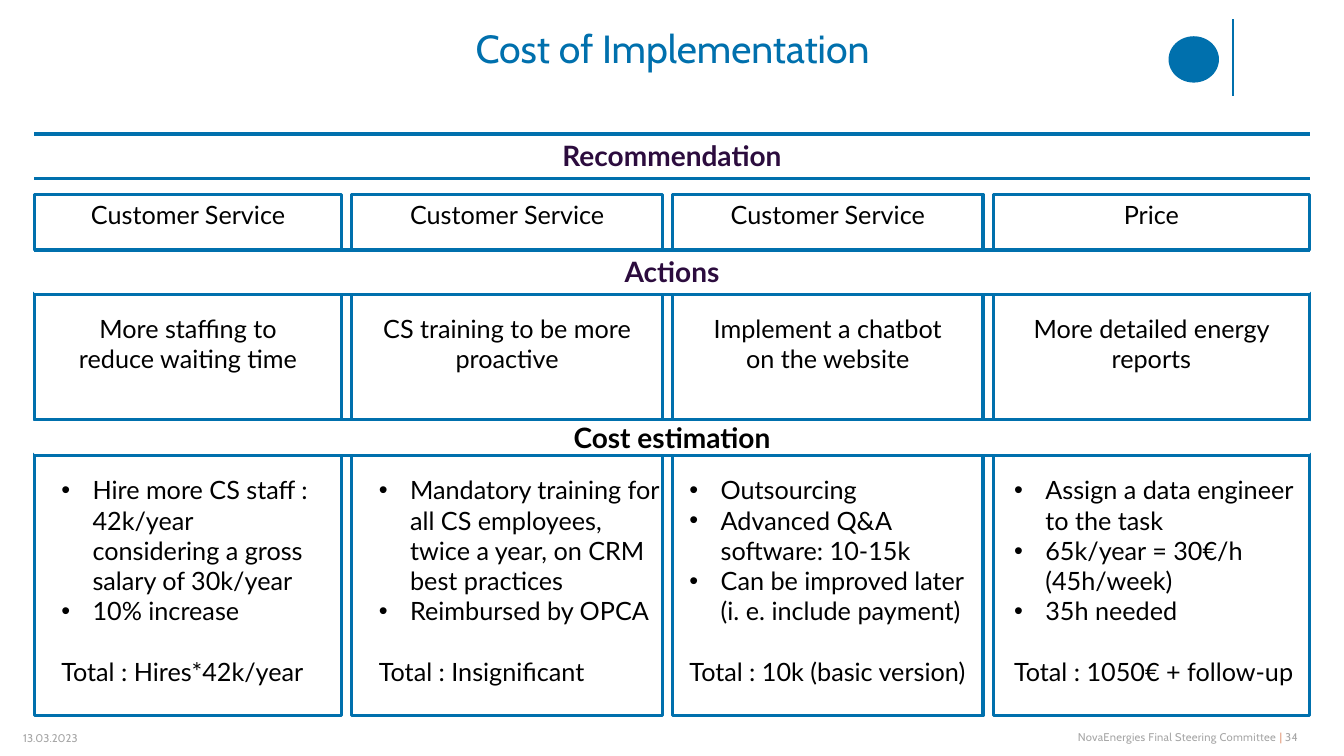
from itertools import accumulate

from lxml.etree import SubElement
from pptx import Presentation
from pptx.dml.color import RGBColor
from pptx.enum.shapes import MSO_CONNECTOR, MSO_SHAPE
from pptx.enum.text import MSO_ANCHOR, PP_ALIGN
from pptx.oxml.ns import qn
from pptx.util import Inches, Pt

BLUE = RGBColor(0x00, 0x70, 0xAD)
PLUM = RGBColor(0x2C, 0x0C, 0x3E)
BLACK = RGBColor(0x00, 0x00, 0x00)
WHITE = RGBColor(0xFF, 0xFF, 0xFF)
GREY = RGBColor(0xA6, 0xA6, 0xA6)
SAND = RGBColor(0xE2, 0x96, 0x74)

# Grid in inches: four columns with equal gaps, and the row edges
LEFT, GAP = 0.34, 0.1
WIDTHS = [3.05, 3.08, 3.08, 3.14]
EDGES = list(accumulate([w + GAP for w in WIDTHS], initial=LEFT))
RIGHT = EDGES[-1] - GAP
TOP, FOOT = 1.93, 7.1
ACTION_ROW, COST_ROW = 3.06, 4.66
ACTION_W = 2.74

# Heading, top, height, colour
BANDS = [
    ("Cost estimation", 4.18, 0.31, BLACK),
    ("Actions", 2.5, 0.39, PLUM),
    ("Recommendation", 1.35, 0.39, PLUM),
]

# Topic, action, bullets, total, indent and width of the cost text
PLANS = [
    ("Customer Service", "More staffing to reduce waiting time",
     ["Hire more CS staff : 42k/year considering a gross salary of 30k/year",
      "10% increase"],
     "Total : Hires*42k/year", 0.17, 2.74),
    ("Customer Service", "CS training to be more proactive",
     ["Mandatory training for all CS employees, twice a year, on CRM best practices",
      "Reimbursed by OPCA"],
     "Total : Insignificant", 0.17, 3.0),
    ("Customer Service", "Implement a chatbot on the website",
     ["Outsourcing", "Advanced Q&A software: 10-15k",
      "Can be improved later (i. e. include payment)"],
     "Total : 10k (basic version)", 0.07, 3.14),
    ("Price", "More detailed energy reports",
     ["Assign a data engineer to the task", "65k/year = 30€/h (45h/week)",
      "35h needed"],
     "Total : 1050€ + follow-up", 0.11, 3.03),
]


def style(font, size, color, name="Lato", bold=False):
    font.size, font.name, font.bold = Pt(size), name, bold
    font.color.rgb = color


def add_text(slide, x, y, w, h, text, size=18, color=BLACK, name="Lato",
             align=PP_ALIGN.LEFT, inset=True):
    box = slide.shapes.add_textbox(Inches(x), Inches(y), Inches(w), Inches(h))
    frame = box.text_frame
    frame.word_wrap = True
    if not inset:
        frame.margin_left = frame.margin_right = 0
        frame.margin_top = frame.margin_bottom = 0
    frame.text = text
    for para in frame.paragraphs:
        para.alignment = align
        for run in para.runs:
            style(run.font, size, color, name)
    return frame


def add_rect(slide, x, y, w, h, text, size, color, fill=None, line=BLUE,
             anchor=MSO_ANCHOR.TOP, bold=False):
    rect = slide.shapes.add_shape(MSO_SHAPE.RECTANGLE, Inches(x), Inches(y),
                                  Inches(w), Inches(h))
    rect.shadow.inherit = False
    if fill is None:
        rect.fill.background()
    else:
        rect.fill.solid()
        rect.fill.fore_color.rgb = fill
    rect.line.color.rgb = line
    rect.line.width = Pt(2.25)
    frame = rect.text_frame
    frame.vertical_anchor = anchor
    frame.text = text
    para = frame.paragraphs[0]
    para.alignment = PP_ALIGN.CENTER
    style(para.runs[0].font, size, color, bold=bold)


def add_line(slide, x1, y1, x2, y2, width=2.25):
    line = slide.shapes.add_connector(MSO_CONNECTOR.STRAIGHT, Inches(x1),
                                      Inches(y1), Inches(x2), Inches(y2))
    line.line.color.rgb = BLUE
    line.line.width = Pt(width)
    SubElement(line._element.spPr, qn("a:effectLst"))


def add_band(slide, text, top, height, color):
    add_rect(slide, LEFT, top, RIGHT - LEFT, height, text, 20, color,
             WHITE, WHITE, MSO_ANCHOR.MIDDLE, True)
    for y in (top - 0.02, top + height + 0.03):
        add_line(slide, LEFT, y, RIGHT, y)


def add_bullet(para):
    props = para._p.get_or_add_pPr()
    props.set("marL", str(Inches(0.31)))
    props.set("indent", str(-Inches(0.31)))
    SubElement(props, qn("a:buFont"), typeface="Arial")
    SubElement(props, qn("a:buChar"), char="•")


def add_costs(slide, x, w, points, total):
    frame = add_text(slide, x, COST_ROW, w, 2.22, "\n".join(points + [total]))
    *items, last = frame.paragraphs
    for para in items:
        add_bullet(para)
    last.space_before = Pt(21.6)


def add_mark(slide):
    mark = slide.shapes.add_shape(MSO_SHAPE.OVAL, Inches(11.59), Inches(0.36),
                                  Inches(0.5), Inches(0.46))
    mark.shadow.inherit = False
    mark.fill.solid()
    mark.fill.fore_color.rgb = BLUE
    mark.line.fill.background()
    add_line(slide, 12.23, 0.19, 12.23, 0.95, 1.5)


def add_footer(slide):
    add_text(slide, 0.23, 7.26, 1.43, 0.13, "13.03.2023", 8, GREY, "Cabin",
             inset=False)
    frame = add_text(slide, 10.69, 7.25, 2.37, 0.13,
                     "NovaEnergies Final Steering Committee ", 8, GREY,
                     "Cabin", inset=False)
    para = frame.paragraphs[0]
    for text, color in (("|\u00a0", SAND), ("34", GREY)):
        run = para.add_run()
        run.text = text
        style(run.font, 8, color, "Cabin")
    for run in para.runs:
        run._r.get_or_add_rPr().set("spc", "20")


def main():
    deck = Presentation()
    deck.slide_width, deck.slide_height = Inches(13.33), Inches(7.5)
    slide = deck.slides.add_slide(deck.slide_layouts[6])

    # Header and footer
    add_mark(slide)
    add_footer(slide)
    add_text(slide, 0.92, 0.24, 11.5, 0.47, "Cost of Implementation", 28,
             BLUE, "Cabin", PP_ALIGN.CENTER, False)

    # Column frames, then the bands across them
    for x, w, plan in zip(EDGES, WIDTHS, PLANS):
        add_rect(slide, x, TOP, w, FOOT - TOP, plan[0], 18, BLACK)
    for band in BANDS:
        add_band(slide, *band)

    # Actions and costs in each column
    for x, w, (_, action, points, total, pad, wide) in zip(EDGES, WIDTHS, PLANS):
        add_text(slide, x + (w - ACTION_W) / 2, ACTION_ROW, ACTION_W, 0.71,
                 action, align=PP_ALIGN.CENTER)
        add_costs(slide, x + pad, wide, points, total)

    deck.save("out.pptx")


if __name__ == "__main__":
    main()
